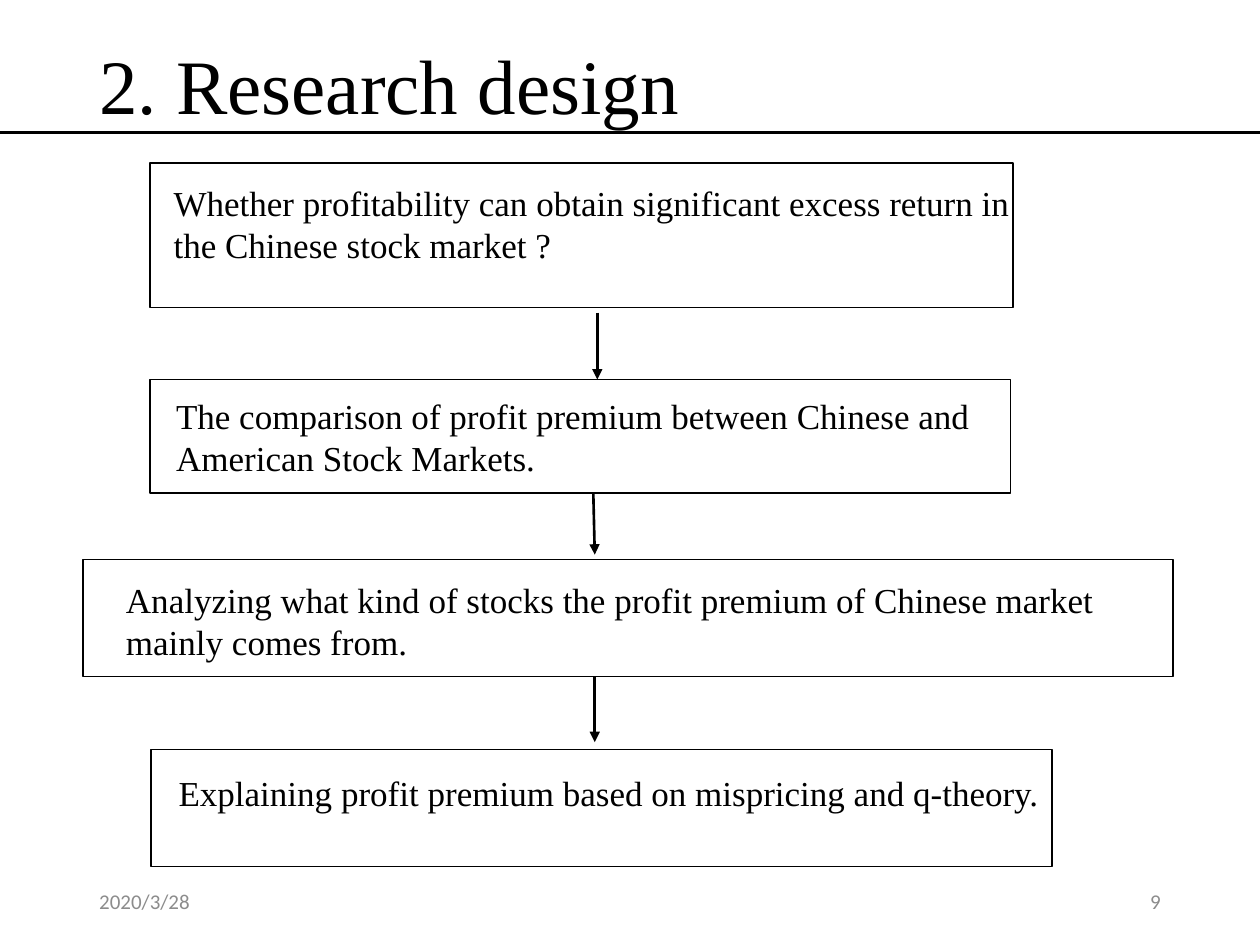
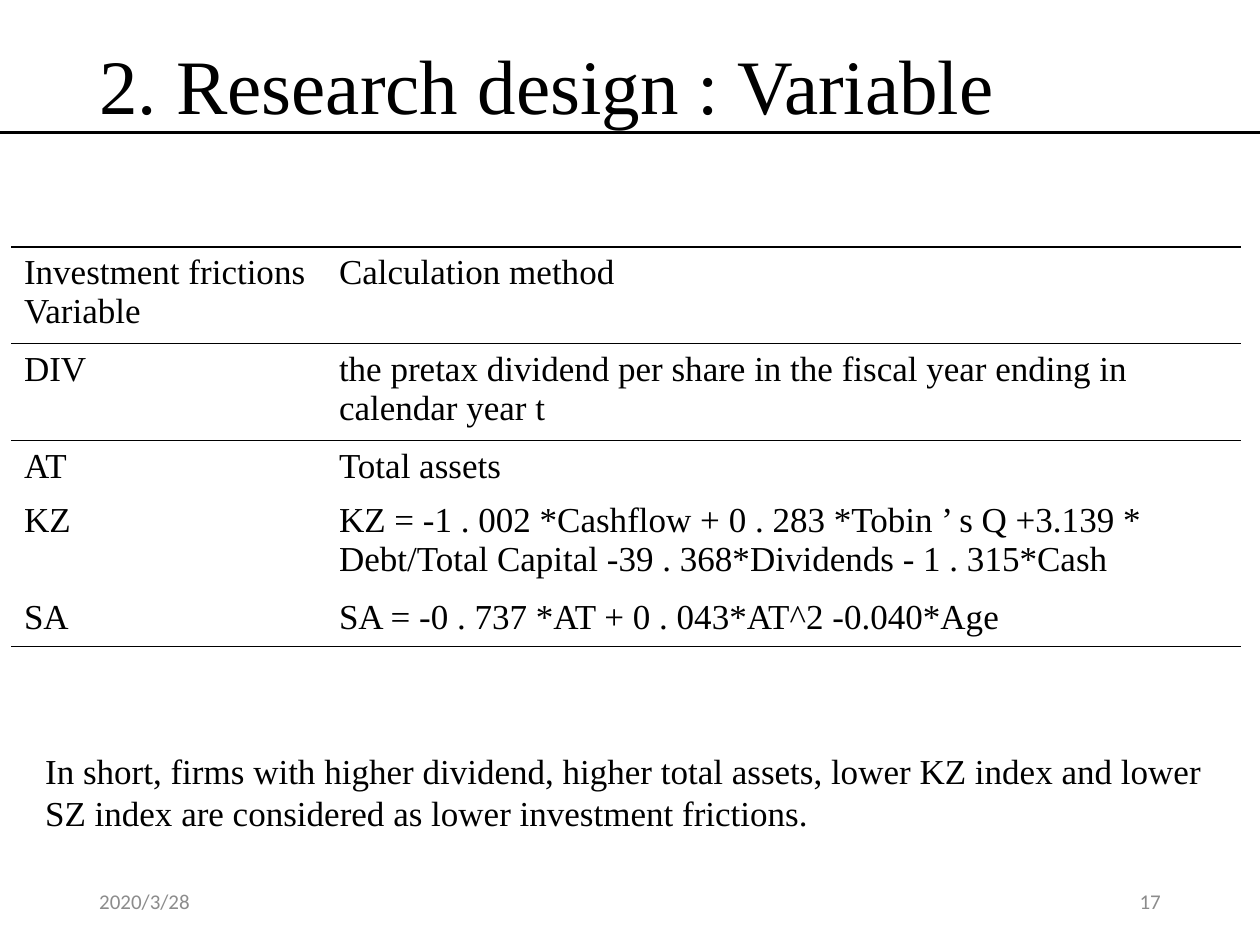
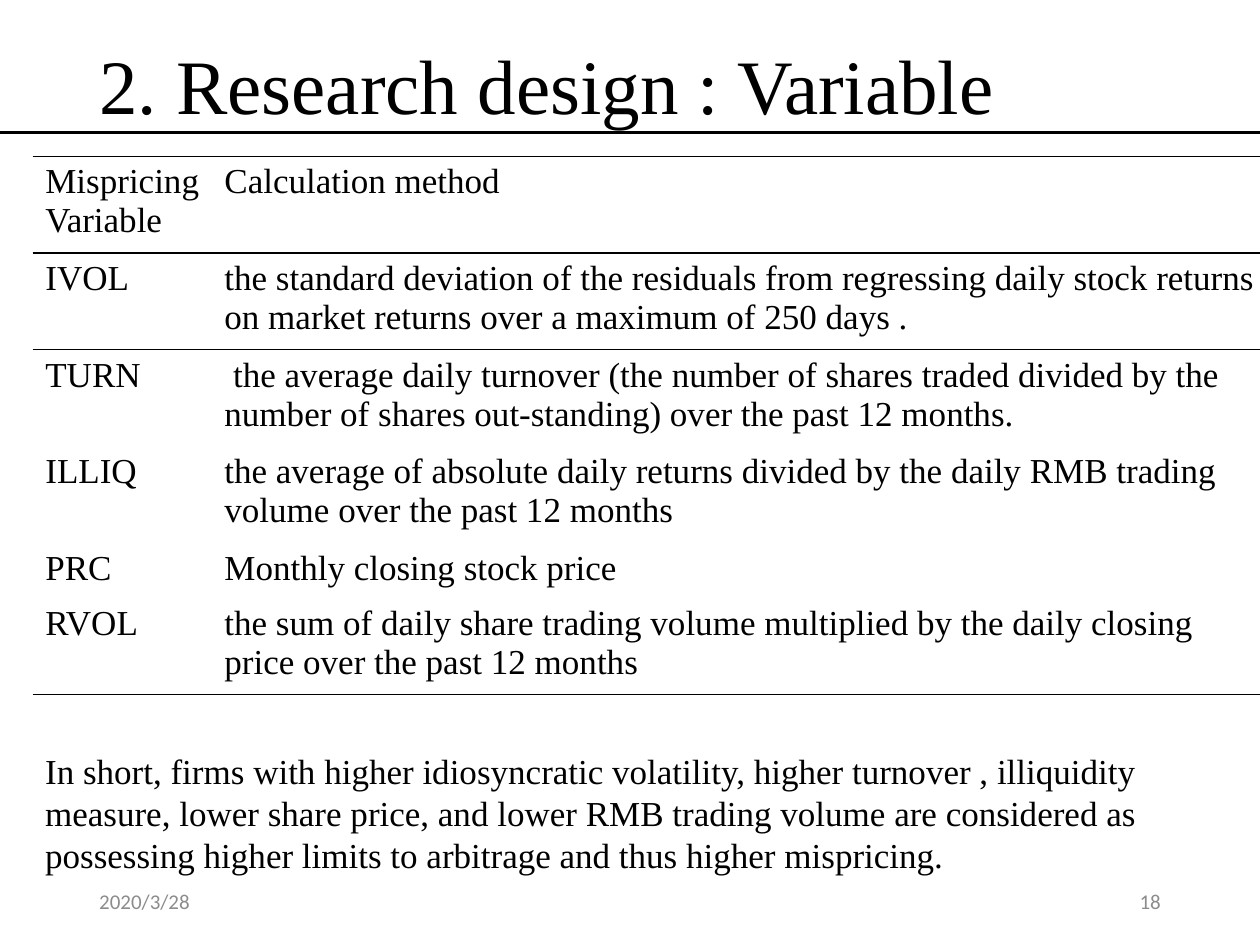
from dataclasses import dataclass
from typing import Any

from pptx import Presentation
from pptx.dml.color import RGBColor
from pptx.enum.shapes import MSO_CONNECTOR as Line, MSO_SHAPE as Shape
from pptx.enum.text import MSO_ANCHOR as Anchor, MSO_AUTO_SIZE as AutoSize, PP_ALIGN as Align
from pptx.oxml.ns import qn
from pptx.oxml.xmlchemy import OxmlElement
from pptx.util import Cm, Pt


# Theme
@dataclass(frozen=True)
class Theme:
    ink: RGBColor = RGBColor(0x00, 0x00, 0x00)
    muted: RGBColor = RGBColor(0x8C, 0x8C, 0x8C)
    serif: str = "Times New Roman"
    sans: str = "Calibri"
    title_size: Pt = Pt(44)
    body_size: Pt = Pt(20)
    footer_size: Pt = Pt(12)
    title_leading: Pt = Pt(47.5)
    body_leading: Pt = Pt(24)
    thin: Pt = Pt(1)
    thick: Pt = Pt(1.5)


THEME = Theme()
TITLE_FONT = {"name": THEME.serif, "size": THEME.title_size}
BODY_FONT = {"name": THEME.serif, "size": THEME.body_size}
FOOTER_FONT = {"name": THEME.sans, "size": THEME.footer_size}
NO_STYLE = "{2D5ABB26-0587-4C30-8999-92F81FD0307C}"
DATE = "2020/3/28"


# Content records, lengths in centimetres
@dataclass(frozen=True)
class Area:
    left: float
    top: float
    width: float
    height: float

    def emu(self) -> tuple[Cm, Cm, Cm, Cm]:
        return Cm(self.left), Cm(self.top), Cm(self.width), Cm(self.height)


@dataclass(frozen=True)
class Step:
    frame: Area
    words: Area
    text: str


@dataclass(frozen=True)
class Arrow:
    start: tuple[float, float]
    end: tuple[float, float]


@dataclass(frozen=True)
class Variable:
    name: str
    method: str
    lines: int = 2


@dataclass(frozen=True)
class VariableSlide:
    number: int
    left: float
    top: float
    columns: tuple[float, float]
    variables: tuple[Variable, ...]
    summary: str
    summary_height: float


STEPS = (
    Step(Area(3.02, 3.28, 17.4, 2.92), Area(3.25, 3.53, 17.4, 3.15),
         "Whether profitability can obtain significant excess return in the Chinese stock market ?"),
    Step(Area(3.02, 7.65, 17.35, 2.29), Area(3.3, 7.82, 17.5, 1.96),
         "The comparison of profit premium between Chinese and American Stock Markets."),
    Step(Area(1.68, 11.28, 21.97, 2.36), Area(2.29, 11.53, 21.36, 1.96),
         "Analyzing what kind of stocks the profit premium of Chinese market mainly comes from."),
    Step(Area(3.05, 15.11, 18.16, 2.36), Area(3.35, 15.42, 17.86, 1.12),
         "Explaining profit premium based on mispricing and q-theory."),
)
ARROWS = (
    Arrow((12.04, 6.3), (12.04, 7.65)),
    Arrow((11.96, 9.93), (11.99, 11.18)),
    Arrow((11.99, 13.64), (11.99, 14.96)),
)
VARIABLE_SLIDES = (
    VariableSlide(17, 0.23, 4.98, (6.35, 18.44), (
        Variable("Investment frictions\nVariable", "Calculation method"),
        Variable("DIV", "the pretax dividend per share in the fiscal year ending in calendar year t"),
        Variable("AT", "Total assets", 1),
        Variable("KZ", "KZ = -1 . 002 *Cashflow + 0 . 283 *Tobin ’ s Q +3.139 * "
                       "Debt/Total Capital -39 . 368*Dividends - 1 . 315*Cash"),
        Variable("SA", "SA = -0 . 737 *AT + 0 . 043*AT^2 -0.040*Age", 1),
    ), "In short, firms with higher dividend, higher total assets, lower KZ index and lower SZ index "
       "are considered as lower investment frictions.", 1.96),
    VariableSlide(18, 0.66, 3.15, (3.61, 21.39), (
        Variable("Mispricing\nVariable", "Calculation method"),
        Variable("IVOL", "the standard deviation of the residuals from regressing daily stock returns "
                         "on market returns over a maximum of 250 days ."),
        Variable("TURN", " the average daily turnover (the number of shares traded divided by the "
                         "number of shares out-standing) over the past 12 months."),
        Variable("ILLIQ", "the average of absolute daily returns divided by the daily RMB trading "
                          "volume over the past 12 months"),
        Variable("PRC", "Monthly closing stock price", 1),
        Variable("RVOL", "the sum of daily share trading volume multiplied by the daily closing "
                         "price over the past 12 months"),
    ), "In short, firms with higher idiosyncratic volatility, higher turnover , illiquidity measure, "
       "lower share price, and lower RMB trading volume are considered as possessing higher limits "
       "to arbitrage and thus higher mispricing.", 2.82),
)


# Drawing helpers
def set_all(target: Any, values: dict[str, Any]) -> None:
    for name, value in values.items():
        setattr(target, name, value)


def write(frame: Any, text: str, font: dict[str, Any], color: RGBColor = THEME.ink,
          **paragraph_format: Any) -> None:
    frame.text = text
    for paragraph in frame.paragraphs:
        set_all(paragraph, paragraph_format)
        for run in paragraph.runs:
            set_all(run.font, font)
            run.font.color.rgb = color


def add_text(shapes: Any, area: Area, text: str, font: dict[str, Any], color: RGBColor = THEME.ink,
             anchor: Anchor = Anchor.TOP, **paragraph_format: Any) -> None:
    frame = shapes.add_textbox(*area.emu()).text_frame
    set_all(frame, {"word_wrap": True, "vertical_anchor": anchor})
    write(frame, text, font, color, **paragraph_format)


def add_line(slide: Any, start: tuple[float, float], end: tuple[float, float],
             arrowhead: bool = False) -> None:
    line = slide.shapes.add_connector(Line.STRAIGHT, *(Cm(value) for value in start + end))
    line.line.width = THEME.thick
    line.line.color.rgb = THEME.ink
    if arrowhead:
        tail = OxmlElement("a:tailEnd")
        tail.set("type", "triangle")
        line.line._get_or_add_ln().append(tail)
    line._element.spPr.append(OxmlElement("a:effectLst"))


def add_step(slide: Any, step: Step) -> None:
    group = slide.shapes.add_group_shape()
    box = group.shapes.add_shape(Shape.RECTANGLE, *step.frame.emu())
    box.shadow.inherit = False
    box.fill.background()
    box.line.width = THEME.thin
    box.line.color.rgb = THEME.ink
    add_text(group.shapes, step.words, step.text, BODY_FONT, line_spacing=THEME.body_leading)


def add_border(cell: Any, side: str, visible: bool) -> None:
    border = OxmlElement(f"a:{side}")
    border.set("w", str(int(THEME.thin)))
    fill = OxmlElement("a:solidFill" if visible else "a:noFill")
    if visible:
        color = OxmlElement("a:srgbClr")
        color.set("val", str(THEME.ink))
        fill.append(color)
    border.append(fill)
    cell._tc.get_or_add_tcPr().append(border)


def add_variables(slide: Any, content: VariableSlide) -> None:
    variables = content.variables
    heights = [{1: 1.04, 2: 1.83}[variable.lines] for variable in variables]
    area = Area(content.left, content.top, sum(content.columns), sum(heights))
    table = slide.shapes.add_table(len(variables), len(content.columns), *area.emu()).table
    set_all(table, {"first_row": False, "horz_banding": False})
    table._tbl.tblPr.find(qn("a:tableStyleId")).text = NO_STYLE
    for column, width in zip(table.columns, content.columns):
        column.width = Cm(width)

    # Rules lie above the first three rows and below the last
    ruled = {0, 1, 2, len(variables)}
    for index, variable in enumerate(variables):
        table.rows[index].height = Cm(heights[index])
        for cell, text in zip(table.rows[index].cells, (variable.name, variable.method)):
            write(cell.text_frame, text, BODY_FONT)
            for side, visible in {"lnL": False, "lnR": False, "lnT": index in ruled,
                                  "lnB": index + 1 in ruled}.items():
                add_border(cell, side, visible)
            cell.fill.background()


# Slides
def add_slide(deck: Any, title: str, title_width: float, number: int) -> Any:
    slide = deck.slides.add_slide(deck.slide_layouts[5])
    heading = slide.shapes.title
    area = Area(1.75, 0.81, title_width, 1.75)
    set_all(heading, dict(zip(("left", "top", "width", "height"), area.emu())))
    set_all(heading.text_frame, {"word_wrap": True, "auto_size": AutoSize.NONE,
                                 "vertical_anchor": Anchor.TOP})
    write(heading.text_frame, title, TITLE_FONT, alignment=Align.LEFT,
          line_spacing=THEME.title_leading)
    add_line(slide, (0, 2.67), (25.4, 2.67))
    for left, text, alignment in ((1.75, DATE, Align.LEFT), (17.93, str(number), Align.RIGHT)):
        add_text(slide.shapes, Area(left, 17.65, 5.72, 1.02), text, FOOTER_FONT, THEME.muted,
                 Anchor.MIDDLE, alignment=alignment)
    return slide


def main() -> None:
    deck = Presentation()
    set_all(deck, {"slide_width": Cm(25.4), "slide_height": Cm(19.05)})

    # Research steps
    design = add_slide(deck, "2. Research design", 21.9, 9)
    for step in STEPS:
        add_step(design, step)
    for arrow in ARROWS:
        add_line(design, arrow.start, arrow.end, arrowhead=True)

    # Variable definitions
    for content in VARIABLE_SLIDES:
        slide = add_slide(deck, "2. Research design : Variable", 23.27, content.number)
        add_variables(slide, content)
        add_text(slide.shapes, Area(0.66, 14.99, 23.85, content.summary_height), content.summary,
                 BODY_FONT, line_spacing=THEME.body_leading)

    deck.save("out.pptx")


if __name__ == "__main__":
    main()
